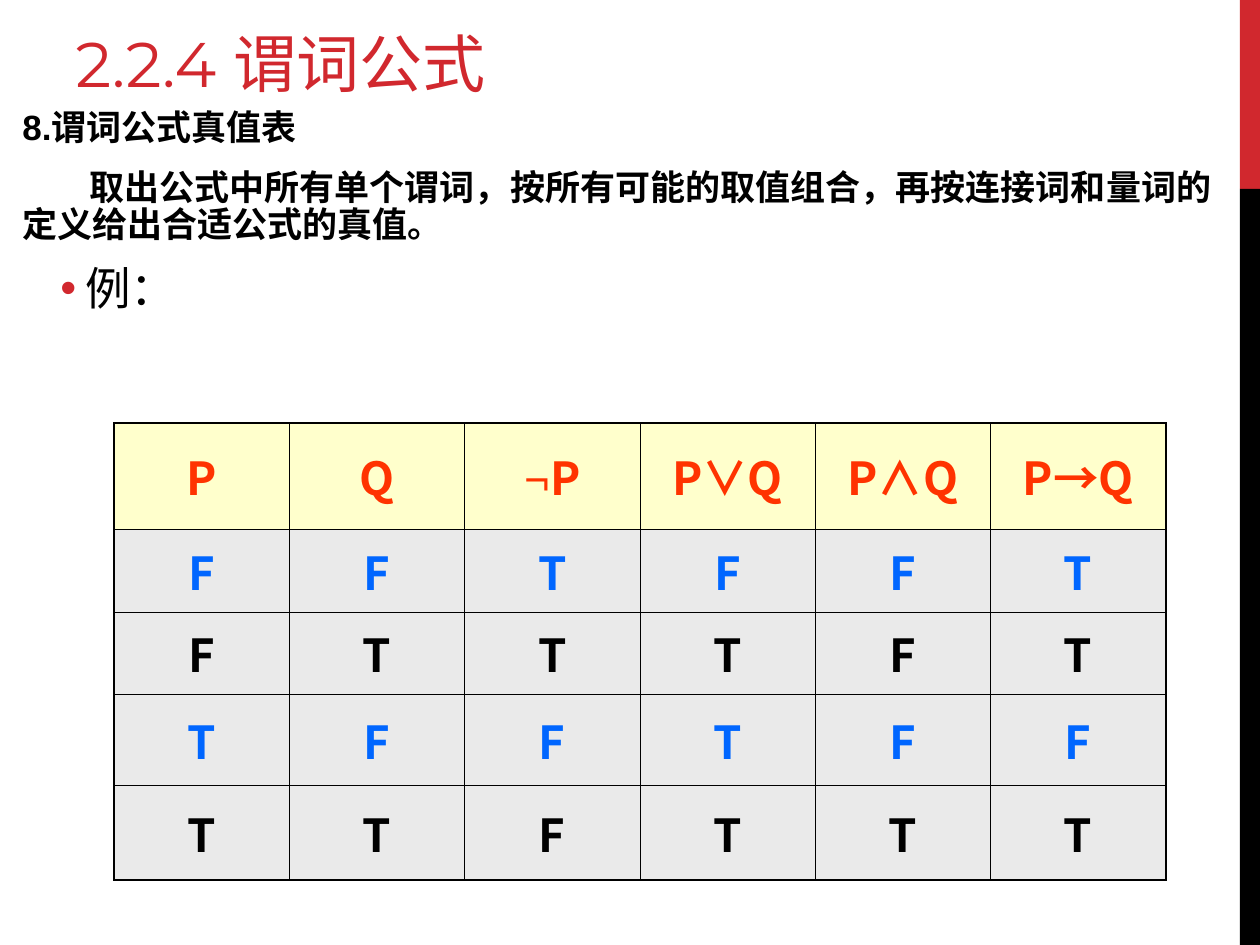
import pptx
import pptx.util
import pptx.dml.color
import pptx.enum.shapes
import pptx.enum.text
import pptx.oxml
import pptx.oxml.ns
from lxml import etree

EMU_PER_PX = 914400 // 126
COLORS = {
    "red": "D1282E", "black": "000000", "header_text": "FF3300",
    "blue": "0066FF", "header_fill": "FFFFCC", "body_fill": "EAEAEA",
}
CJK = "Noto Sans CJK SC"
HEADERS = ["P", "Q", "¬P", "P∨Q", "P∧Q", "P→Q"]
TRUTH_ROWS = ["FFTFFT", "FTTTFT", "TFFTFF", "TTFTTT"]
ROW_HEIGHTS = [106, 83, 82, 91, 95]


def px(n):
    return pptx.util.Emu(n * EMU_PER_PX)


def rgb(name):
    return pptx.dml.color.RGBColor.from_string(COLORS[name])


def sub(parent, tag, **attrs):
    return etree.SubElement(parent, pptx.oxml.ns.qn(tag), attrs)


def format_run(r, size, font, color, bold=False):
    r.font.size = pptx.util.Pt(size)
    r.font.bold = bold
    r.font.color.rgb = rgb(color)
    r.font.name = font
    sub(r._r.get_or_add_rPr(), "a:ea", typeface=CJK)


def add_bar(s, x, y, w, h, color):
    sp = s.shapes.add_shape(pptx.enum.shapes.MSO_SHAPE.RECTANGLE, px(x), px(y), px(w), px(h))
    sp.shadow.inherit = False
    sp.fill.solid()
    sp.fill.fore_color.rgb = rgb(color)
    sp.line.fill.background()


def set_title(s, text):
    sp = s.shapes.title
    sp.left, sp.top, sp.width, sp.height = px(63), px(4), px(1125), px(96)
    tf = sp.text_frame
    tf.text = text
    tf.auto_size = pptx.enum.text.MSO_AUTO_SIZE.NONE
    tf.vertical_anchor = pptx.enum.text.MSO_ANCHOR.BOTTOM
    tf.margin_top = tf.margin_bottom = 0
    p = tf.paragraphs[0]
    p.alignment = pptx.enum.text.PP_ALIGN.LEFT
    format_run(p.runs[0], 36, "Montserrat", "red")


def set_indent(p, left, first):
    pPr = p._p.get_or_add_pPr()
    pPr.set("marL", str(px(left)))
    pPr.set("indent", str(px(first)))
    return pPr


def add_body(s):
    sp = s.shapes.add_textbox(px(10), px(105), px(1215), px(266))
    tf = sp.text_frame
    tf.word_wrap = True
    tf.text = (
        "8.谓词公式真值表\n"
        "取出公式中所有单个谓词，按所有可能的取值组合，再按连接词和量词的定义给出合适公式的真值。\n"
        "例："
    )
    heading, definition, example = tf.paragraphs
    for p in tf.paragraphs:
        p.line_spacing = 0.88
        p.space_after = pptx.util.Pt(6)
    for p in (heading, definition):
        format_run(p.runs[0], 20, "Arial", "black", bold=True)
    definition.space_before = pptx.util.Pt(7)
    set_indent(definition, 0, 67)

    example.space_before = pptx.util.Pt(6.5)
    pPr = set_indent(example, 63, -25)
    sub(sub(pPr, "a:buClr"), "a:srgbClr", val=COLORS["red"])
    sub(pPr, "a:buFont", typeface="Arial")
    sub(pPr, "a:buChar", char="•")
    format_run(example.runs[0], 26, "Arial", "black")


def set_border(cell, side, points):
    ln = sub(cell._tc.get_or_add_tcPr(), "a:ln" + side, w=str(pptx.util.Pt(points)))
    sub(sub(ln, "a:solidFill"), "a:srgbClr", val=COLORS["black"])


def format_cell(cell, text, fill, color, outer_sides):
    for side in "LRTB":
        set_border(cell, side, 1.08 if side in outer_sides else 0.45)
    cell.fill.solid()
    cell.fill.fore_color.rgb = rgb(fill)
    cell.vertical_anchor = pptx.enum.text.MSO_ANCHOR.MIDDLE
    p = cell.text_frame.paragraphs[0]
    p.alignment = pptx.enum.text.PP_ALIGN.CENTER
    for part in ("¬", text[1:]) if text.startswith("¬") else (text,):
        r = p.add_run()
        r.text = part
        format_run(r, 26, "Times New Roman" if part == "¬" else CJK, color, bold=True)


def add_truth_table(s):
    rows = [HEADERS, *TRUTH_ROWS]
    last_row, last_col = len(rows) - 1, len(HEADERS) - 1
    table = s.shapes.add_table(len(rows), len(HEADERS), px(114), px(423),
                               px(1052), px(sum(ROW_HEIGHTS))).table
    table.first_row = table.horz_banding = False
    for i, values in enumerate(rows):
        table.rows[i].height = px(ROW_HEIGHTS[i])
        fill = "body_fill" if i else "header_fill"
        color = ("blue" if i % 2 else "black") if i else "header_text"
        for j, value in enumerate(values):
            edges = {"L": j == 0, "R": j == last_col, "T": i == 0, "B": i == last_row}
            outer_sides = [side for side, is_outer in edges.items() if is_outer]
            format_cell(table.cell(i, j), value, fill, color, outer_sides)


def main():
    prs = pptx.Presentation()
    prs.slide_width, prs.slide_height = px(1260), px(945)
    s = prs.slides.add_slide(prs.slide_layouts[5])
    add_bar(s, 1240, 0, 20, 189, "red")
    add_bar(s, 1240, 189, 20, 756, "black")
    set_title(s, "2.2.4 谓词公式")
    add_body(s)
    add_truth_table(s)
    prs.save("out.pptx")


if __name__ == "__main__":
    main()
